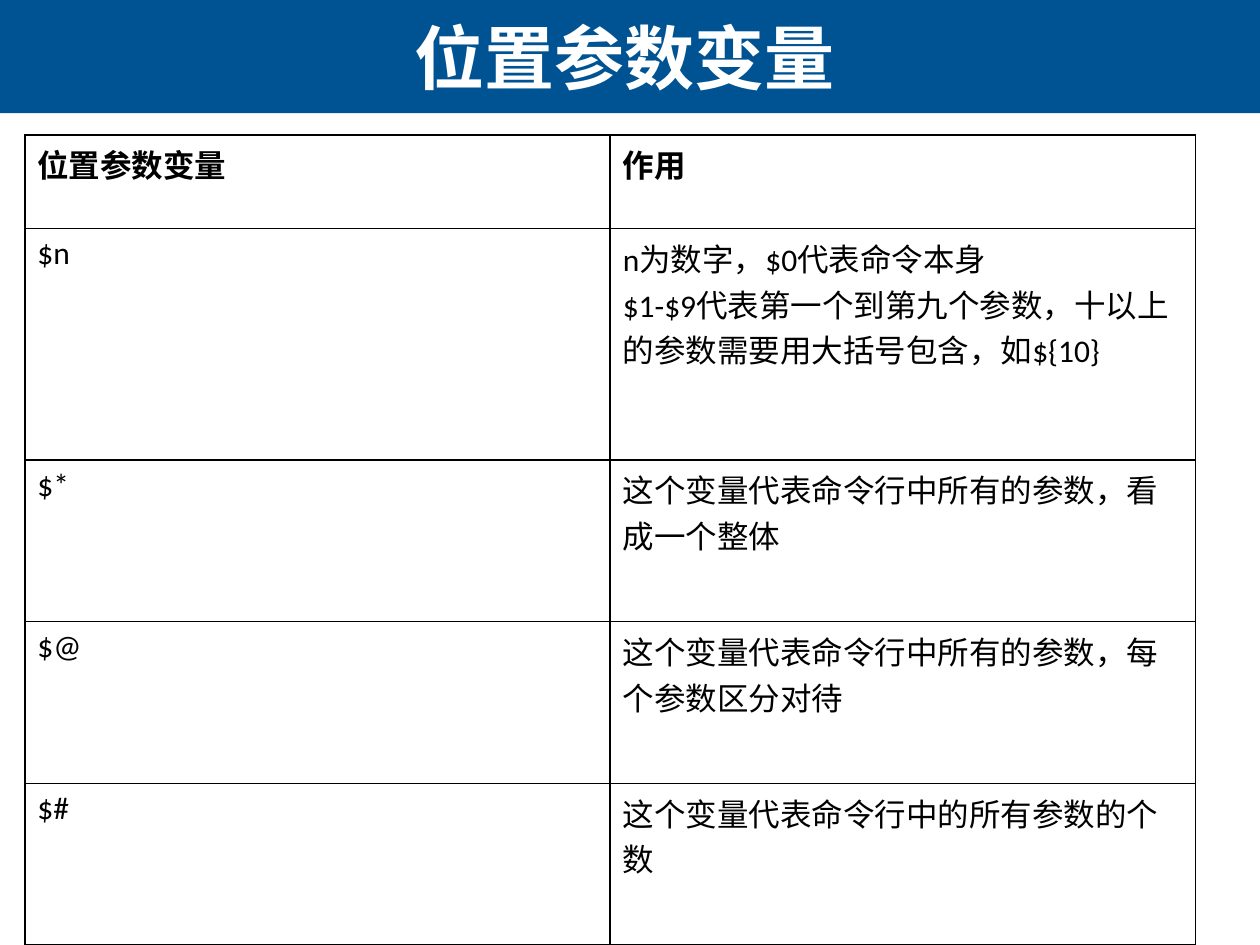
from pptx import Presentation
from pptx.dml.color import RGBColor
from pptx.enum.shapes import MSO_SHAPE as Shape
from pptx.enum.text import MSO_ANCHOR as Anchor, PP_ALIGN as Align
from pptx.oxml import parse_xml
from pptx.oxml.ns import nsdecls
from pptx.util import Cm, Pt

BLUE = RGBColor(0x00, 0x53, 0x92)
WHITE = RGBColor(0xFF, 0xFF, 0xFF)
BLACK = RGBColor(0x00, 0x00, 0x00)


class SlideBuilder:
    title_font, body_font = "Arial", "Calibri"
    title_size, body_size = Pt(40), Pt(18)
    border = Pt(1)

    def __init__(self, page):
        self.page = page

    def band(self, left, top, width, height):
        band = self.page.shapes.add_shape(
            Shape.RECTANGLE, Cm(left), Cm(top), Cm(width), Cm(height))
        band.shadow.inherit = False
        band.fill.solid()
        band.fill.fore_color.rgb = BLUE
        band.line.fill.background()

    def title(self, text, left, top, width, height):
        box = self.page.shapes.add_textbox(Cm(left), Cm(top), Cm(width), Cm(height))
        frame = box.text_frame
        frame.word_wrap = True
        frame.vertical_anchor = Anchor.MIDDLE
        frame.text = text
        para = frame.paragraphs[0]
        para.alignment = Align.CENTER
        self.style(para, self.title_font, self.title_size, WHITE, True)

    def table(self, rows, left, top, column_width, row_heights):
        columns = len(rows[0])
        table = self.page.shapes.add_table(
            len(rows), columns, Cm(left), Cm(top),
            Cm(column_width * columns), Cm(sum(row_heights))).table
        table.horz_banding = False
        for column in table.columns:
            column.width = Cm(column_width)
        for index, (texts, height) in enumerate(zip(rows, row_heights)):
            table.rows[index].height = Cm(height)
            for cell, text in zip(table.rows[index].cells, texts):
                self.cell(cell, text, bold=index == 0)

    def cell(self, cell, text, bold):
        cell.text = text
        for para in cell.text_frame.paragraphs:
            self.style(para, self.body_font, self.body_size, BLACK, bold)
        cell.fill.background()
        # Borders come before the fill in the cell properties
        properties = cell._tc.get_or_add_tcPr()
        for place, side in enumerate("LRTB"):
            properties.insert(place, parse_xml(
                f'<a:ln{side} {nsdecls("a")} w="{int(self.border)}"><a:solidFill>'
                f'<a:srgbClr val="{BLACK}"/></a:solidFill></a:ln{side}>'))

    def style(self, para, name, size, color, bold):
        font = para.font
        font.name, font.size, font.bold = name, size, bold
        font.color.rgb = color


deck = Presentation()
deck.slide_width, deck.slide_height = Cm(25.4), Cm(19.05)
builder = SlideBuilder(deck.slides.add_slide(deck.slide_layouts[6]))

# Title band
builder.band(0, 0, 25.4, 2.28)
builder.title("位置参数变量", 0.05, 0, 25.07, 2.28)

# Table of positional parameters
builder.table(
    [
        ("位置参数变量", "作用"),
        ("$n", "n为数字，$0代表命令本身\n"
               "$1-$9代表第一个到第九个参数，十以上的参数需要用大括号包含，如${10}"),
        ("$*", "这个变量代表命令行中所有的参数，看成一个整体"),
        ("$@", "这个变量代表命令行中所有的参数，每个参数区分对待"),
        ("$#", "这个变量代表命令行中的所有参数的个数"),
    ],
    left=0.5, top=2.72, column_width=11.8,
    row_heights=[1.89, 4.66] + [3.26] * 3)

deck.save("out.pptx")
